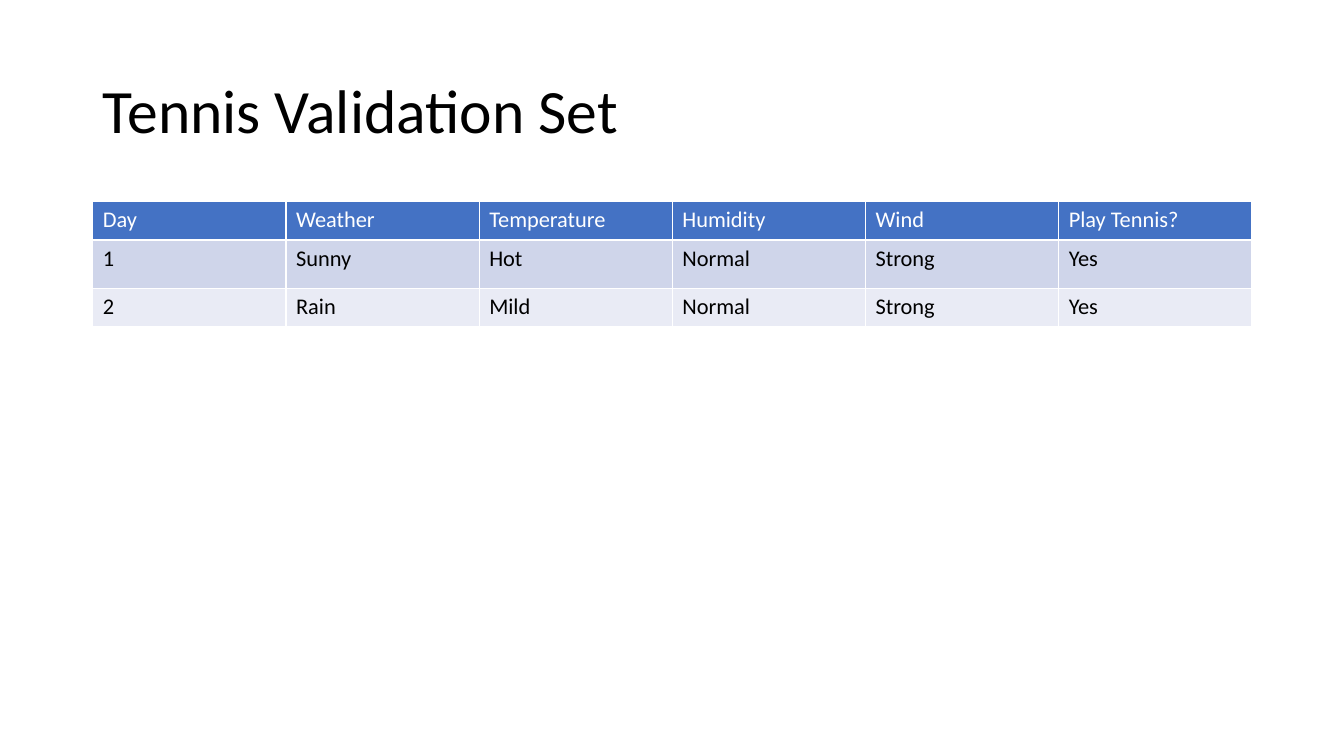
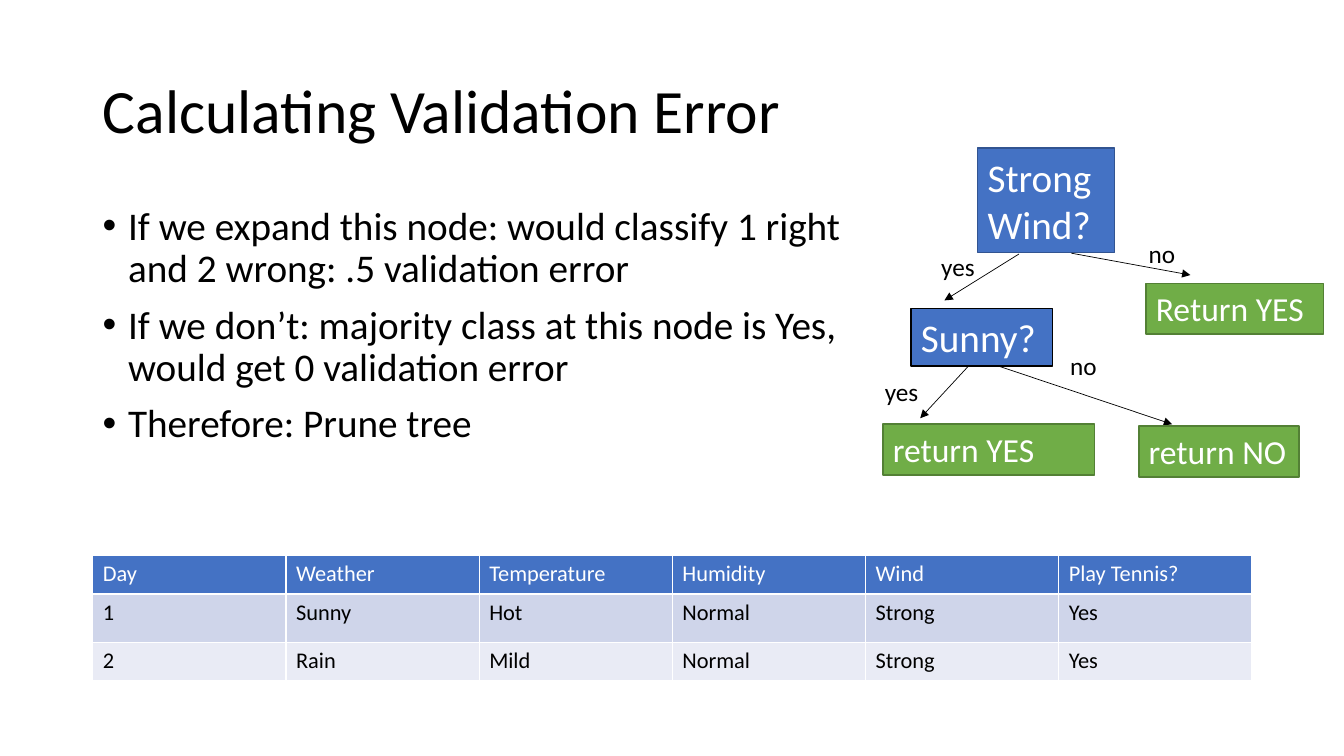
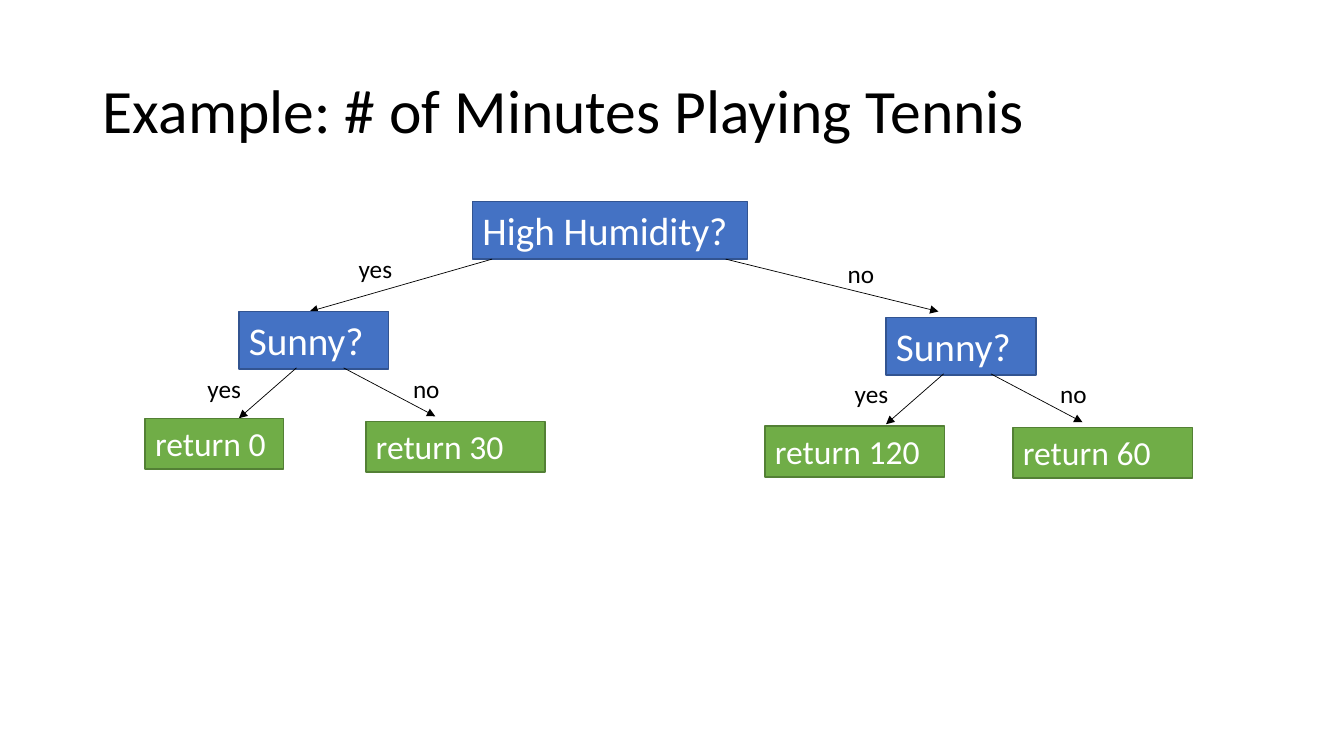
from lxml.etree import SubElement
from pptx import Presentation
from pptx.dml.color import RGBColor
from pptx.enum.shapes import MSO_CONNECTOR, MSO_SHAPE
from pptx.enum.text import MSO_ANCHOR, MSO_AUTO_SIZE, PP_ALIGN
from pptx.oxml.ns import qn
from pptx.util import Cm, Pt

RECT = MSO_SHAPE.RECTANGLE
LINE = MSO_CONNECTOR.STRAIGHT
LEFT = PP_ALIGN.LEFT
TOP, MIDDLE = MSO_ANCHOR.TOP, MSO_ANCHOR.MIDDLE
GROW, FIXED = MSO_AUTO_SIZE.SHAPE_TO_FIT_TEXT, MSO_AUTO_SIZE.NONE

BLACK = RGBColor(0x00, 0x00, 0x00)
WHITE = RGBColor(0xFF, 0xFF, 0xFF)
BLUE = RGBColor(0x44, 0x72, 0xC4)
NAVY = RGBColor(0x32, 0x54, 0x91)
GREEN = RGBColor(0x70, 0xAD, 0x47)
MOSS = RGBColor(0x53, 0x80, 0x35)
BANDS = (RGBColor(0xCF, 0xD5, 0xEA), RGBColor(0xE9, 0xEB, 0xF5))

FONT = "Calibri"
EDGE, WIDE = 2.34, 29.21  # left edge and width of the content, in cm

DAYS = (
    ("Day", "Weather", "Temperature", "Humidity", "Wind", "Play Tennis?"),
    ("1", "Sunny", "Hot", "Normal", "Strong", "Yes"),
    ("2", "Rain", "Mild", "Normal", "Strong", "Yes"),
)
HEIGHTS = (0.97, 1.22, 0.97)


class Deck:
    """Shared style and the current slide; all lengths are in cm."""

    def __init__(self):
        self.prs = Presentation()
        self.prs.slide_width, self.prs.slide_height = Cm(33.87), Cm(19.05)
        self.slide = None

    def style(self, para, size, color):
        para.alignment = LEFT
        font = para.font
        font.name, font.size, font.bold = FONT, Pt(size), False
        font.color.rgb = color

    def fill_text(self, shape, text, size, color, fit=GROW, anchor=TOP):
        frame = shape.text_frame
        frame.text = text
        frame.word_wrap = True
        frame.auto_size, frame.vertical_anchor = fit, anchor
        for para in frame.paragraphs:
            self.style(para, size, color)
        return frame

    def start(self, text):
        """Add a slide with its title."""
        self.slide = self.prs.slides.add_slide(self.prs.slide_layouts[5])
        title = self.slide.shapes.title
        title.left, title.top = Cm(EDGE), Cm(1.02)
        title.width, title.height = Cm(WIDE), Cm(3.68)
        frame = self.fill_text(title, text, 44, BLACK, FIXED, MIDDLE)
        frame.paragraphs[0].line_spacing = 0.9

    def text(self, x, y, w, h, text, size, fit=GROW):
        box = self.slide.shapes.add_textbox(Cm(x), Cm(y), Cm(w), Cm(h))
        return self.fill_text(box, text, size, BLACK, fit)

    def label(self, x, y, text, w=1.7):
        self.text(x, y, w, 1.02, text, 18)

    def bullets(self, x, y, w, h, items):
        frame = self.text(x, y, w, h, "\n".join(items), 28, FIXED)
        for para in frame.paragraphs:
            para.line_spacing, para.space_before = 0.9, Pt(10)
            props = para._p.get_or_add_pPr()
            props.set("marL", str(Cm(0.64)))
            props.set("indent", str(-Cm(0.64)))
            SubElement(props, qn("a:buFont")).set("typeface", "Arial")
            SubElement(props, qn("a:buChar")).set("char", "•")

    def box(self, x, y, w, h, text, size, fill, line):
        shape = self.slide.shapes.add_shape(RECT, Cm(x), Cm(y), Cm(w), Cm(h))
        shape.shadow.inherit = False
        shape.fill.solid()
        shape.fill.fore_color.rgb = fill
        shape.line.color.rgb = line
        shape.line.width = Pt(1)
        self.fill_text(shape, text, size, WHITE)

    def node(self, x, y, w, text, h=1.45, line=NAVY):
        self.box(x, y, w, h, text, 28, BLUE, line)

    def leaf(self, x, y, w, text):
        self.box(x, y, w, 1.28, text, 24, GREEN, MOSS)

    def arrow(self, x1, y1, x2, y2):
        link = self.slide.shapes.add_connector(
            LINE, Cm(x1), Cm(y1), Cm(x2), Cm(y2))
        link.line.color.rgb = BLACK
        link.line.width = Pt(0.5)
        props = link.element.spPr
        SubElement(props.find(qn("a:ln")), qn("a:tailEnd")).set("type", "triangle")
        SubElement(props, qn("a:effectLst"))

    def table(self, y, rows):
        grid = self.slide.shapes.add_table(
            len(rows), len(rows[0]), Cm(EDGE), Cm(y), Cm(WIDE),
            Cm(sum(HEIGHTS))).table
        for r, row in enumerate(rows):
            grid.rows[r].height = Cm(HEIGHTS[r])
            for c, text in enumerate(row):
                cell = grid.cell(r, c)
                cell.text = text
                cell.fill.solid()
                cell.fill.fore_color.rgb = BANDS[(r - 1) % 2] if r else BLUE
                self.style(cell.text_frame.paragraphs[0], 16,
                           BLACK if r else WHITE)

    def branch(self, x, y, yes, no):
        """Draw a Sunny? node; yes holds the left leaf's offset, width, text."""
        dx, dy, w, text = yes
        self.node(x, y, 3.78, "Sunny?")
        self.arrow(x + 1.45, y + 1.42, x, y + 2.69)
        self.label(x - 1.04, y + 1.42, "yes", 2.46)
        self.leaf(x + dx, y + dy, w, text)
        self.arrow(x + 2.64, y + 1.42, x + 4.95, y + 2.64)
        self.label(x + 4.14, y + 1.42, "no")
        self.leaf(x + 3.2, y + 2.77, 4.52, no)


def main():
    deck = Deck()

    # Validation set
    deck.start("Tennis Validation Set")
    deck.table(5.08, DAYS)

    # Validation error: argument and data
    deck.start("Calculating Validation Error")
    deck.bullets(EDGE, 5.08, 20.07, 8.53, (
        "If we expand this node: would classify 1 right and 2 wrong: "
        ".5 validation error",
        "If we don’t: majority class at this node is Yes, "
        "would get 0 validation error",
        "Therefore: Prune tree",
    ))
    deck.table(14, DAYS)

    # Validation error: tree
    deck.node(24.64, 3.73, 3.45, "Strong Wind?", h=2.64)
    deck.arrow(25.68, 6.4, 23.8, 7.57)
    deck.arrow(27, 6.38, 30, 6.93)
    deck.label(23.47, 6.22, "yes")
    deck.label(28.7, 5.87, "no")
    deck.leaf(28.88, 7.14, 4.47, "Return YES")
    deck.node(22.96, 7.77, 3.56, "Sunny?", line=BLACK)
    deck.arrow(24.41, 9.22, 23.19, 10.54)
    deck.arrow(25.15, 9.22, 29.54, 10.69)
    deck.leaf(22.25, 10.69, 5.33, "return YES")
    deck.label(26.72, 8.71, "no", 1.42)
    deck.label(22.05, 9.37, "yes")
    deck.leaf(28.7, 10.74, 4.04, "return NO")

    # Minutes of play: root and two branches
    deck.start("Example: # of Minutes Playing Tennis")
    deck.node(11.91, 5.08, 6.93, "High Humidity?")
    deck.arrow(12.4, 6.53, 7.8, 7.85)
    deck.label(8.79, 6.27, "yes", 2.46)
    deck.arrow(18.29, 6.53, 23.65, 7.85)
    deck.label(21.11, 6.38, "no")
    deck.branch(6.02, 7.85, (-2.36, 2.69, 3.48, "return 0"), "return 30")
    deck.branch(22.33, 8, (-3.05, 2.74, 4.52, "return 120"), "return 60")

    deck.prs.save("out.pptx")


if __name__ == "__main__":
    main()
